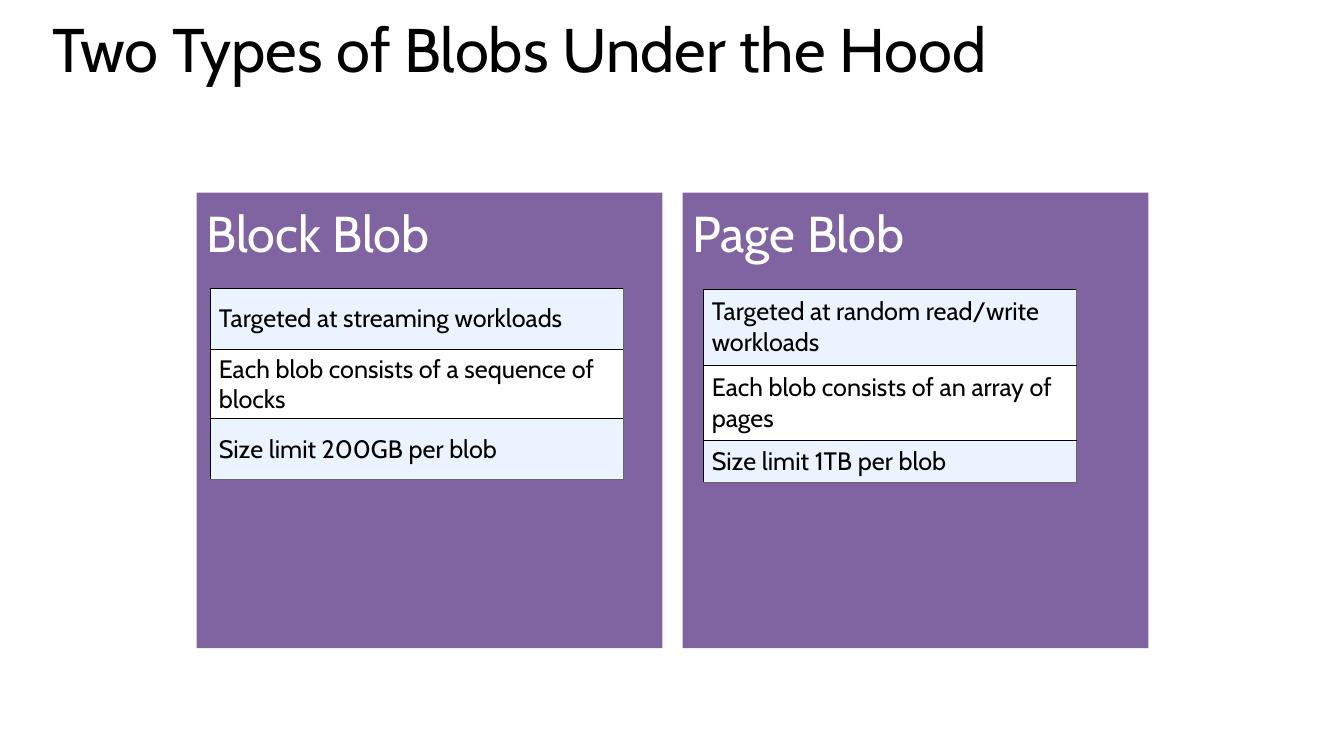
from lxml.etree import SubElement
from pptx import Presentation
from pptx.dml.color import RGBColor
from pptx.enum.shapes import MSO_SHAPE
from pptx.enum.text import MSO_ANCHOR, PP_ALIGN
from pptx.oxml.ns import qn
from pptx.util import Inches, Pt

INK = {"black": "000000", "white": "FFFFFF", "purple": "8064A2",
       "pale": "EBF3FF", "gray": "666666"}
FONT = "Cabin"
CARDS = [
    ("Block Blob", (0.14, 0.95, 4.09), [
        ("Targeted at streaming workloads", 0.61),
        ("Each blob consists of a sequence of blocks", 0.61),
        ("Size limit 200GB per blob", 0.61)]),
    ("Page Blob", (0.21, 0.96, 3.7), [
        ("Targeted at random read/write workloads", 0.75),
        ("Each blob consists of an array of pages", 0.75),
        ("Size limit 1TB per blob", 0.42)]),
]


def color(name):
    """Return the named colour."""
    return RGBColor.from_string(INK[name])


def write(frame, text, size, ink):
    """Write one left-aligned run and return its paragraph."""
    frame.word_wrap = True
    para = frame.paragraphs[0]
    para.alignment = PP_ALIGN.LEFT
    run = para.add_run()
    run.text = text
    run.font.size = Pt(size)
    run.font.name = FONT
    run.font.color.rgb = color(ink)
    return para


def edge(cell, side, ink):
    """Draw a thin line on one side of a cell."""
    line = SubElement(cell._tc.get_or_add_tcPr(), qn("a:ln" + side), w=str(Pt(0.6)))
    fill = SubElement(line, qn("a:solidFill"))
    SubElement(fill, qn("a:srgbClr"), val=INK[ink])


def add_title(slide, left, top, width, height):
    """Place the slide title in its box."""
    box = slide.shapes.add_textbox(Inches(left), Inches(top), Inches(width), Inches(height))
    para = write(box.text_frame, "Two Types of Blobs Under the Hood", 44, "black")
    para.line_spacing = 0.8


def add_facts(slide, left, top, width, facts):
    """Place a one-column table of facts."""
    total = sum(high for _, high in facts)
    frame = slide.shapes.add_table(len(facts), 1, Inches(left), Inches(top),
                                   Inches(width), Inches(total))
    table = frame.table
    table.first_row = False
    for i, (text, high) in enumerate(facts):
        table.rows[i].height = Inches(high)
        cell = table.cell(i, 0)
        cell.vertical_anchor = MSO_ANCHOR.MIDDLE
        cell.margin_left = cell.margin_right = Inches(0.08)
        cell.margin_top = cell.margin_bottom = Inches(0.04)
        write(cell.text_frame, text, 18, "black")
        base = "gray" if i == len(facts) - 1 else "black"
        for side, ink in zip("LRTB", ("black", "gray", "black", base)):
            edge(cell, side, ink)
        cell.fill.solid()
        cell.fill.fore_color.rgb = color("white" if i % 2 else "pale")


def add_card(slide, left, top, width, height, head, grid, facts):
    """Place a purple card with its heading and facts."""
    card = slide.shapes.add_shape(MSO_SHAPE.RECTANGLE, Inches(left), Inches(top),
                                  Inches(width), Inches(height))
    card.shadow.inherit = False
    card.fill.solid()
    card.fill.fore_color.rgb = color("purple")
    card.line.fill.background()
    frame = card.text_frame
    frame.vertical_anchor = MSO_ANCHOR.TOP
    frame.margin_top = Inches(0.1)
    write(frame, head, 36, "white").space_after = Pt(12)
    dx, dy, wide = grid
    add_facts(slide, left + dx, top + dy, wide, facts)


def main():
    """Build and save the slide."""
    deck = Presentation()
    deck.slide_width = Inches(13.33)
    deck.slide_height = Inches(7.5)
    slide = deck.slides.add_slide(deck.slide_layouts[6])
    add_title(slide, 0.42, 0.2, 12.6, 1.16)
    for i, card in enumerate(CARDS):
        add_card(slide, 1.95 + i * 4.82, 1.91, 4.62, 4.52, *card)
    deck.save("out.pptx")


if __name__ == "__main__":
    main()
